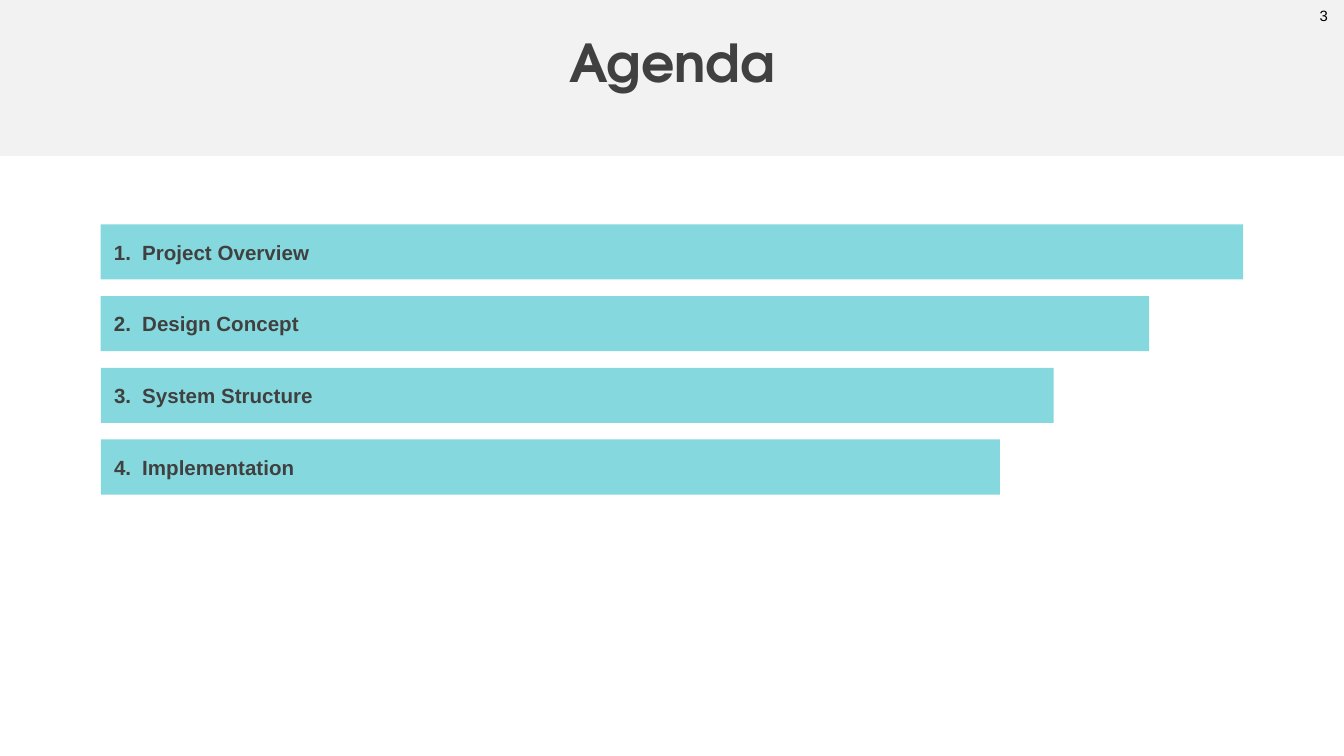
from dataclasses import dataclass

from lxml import etree
from pptx import Presentation
from pptx.dml.color import RGBColor
from pptx.enum.shapes import MSO_SHAPE
from pptx.enum.text import MSO_ANCHOR, MSO_AUTO_SIZE, PP_ALIGN
from pptx.oxml.ns import qn
from pptx.util import Inches, Pt

RECT = MSO_SHAPE.RECTANGLE
MIDDLE = MSO_ANCHOR.MIDDLE
FIXED = MSO_AUTO_SIZE.NONE
LEFT = PP_ALIGN.LEFT
CENTER = PP_ALIGN.CENTER


@dataclass(frozen=True)
class Theme:
    """Colours, fonts and type sizes of the slide."""
    band: str = "F2F2F2"
    bar: str = "85D8DE"
    ink: str = "404040"
    black: str = "000000"
    head: str = "TeX Gyre Adventor"
    body: str = "Arial"
    title: int = 28
    item: int = 11
    page: int = 8


THEME = Theme()
WIDTH = 10
HEIGHT = WIDTH * 9 / 16
AGENDA = [
    ("Project Overview", 8.5),
    ("Design Concept", 7.8),
    ("System Structure", 7.09),
    ("Implementation", 6.69),
]
FIRST, LAST = 1.67, 3.27


def style(para, name, size, color, bold=False):
    """Set the font of a paragraph."""
    font = para.font
    font.name, font.size, font.bold = name, Pt(size), bold
    font.color.rgb = RGBColor.from_string(color)


def add_rect(slide, left, top, width, height, color):
    """Add a flat filled rectangle."""
    rect = slide.shapes.add_shape(
        RECT, Inches(left), Inches(top), Inches(width), Inches(height))
    rect.shadow.inherit = False
    rect.fill.solid()
    rect.fill.fore_color.rgb = RGBColor.from_string(color)
    rect.line.fill.background()
    return rect


def add_tab(para, stop):
    """Give a paragraph one left tab stop."""
    tabs = etree.SubElement(para._p.get_or_add_pPr(), qn("a:tabLst"))
    etree.SubElement(tabs, qn("a:tab"), pos=str(Inches(stop)), algn="l")


def add_title(slide, text):
    """Place the title over its grey band."""
    band = add_rect(slide, 0, 0, WIDTH, 1.16, THEME.band)
    title = slide.shapes.title
    title._element.addprevious(band._element)
    title.left, title.top = Inches(0), Inches(0.14)
    title.width, title.height = Inches(WIDTH), Inches(0.63)
    frame = title.text_frame
    frame.text = text
    frame.auto_size, frame.vertical_anchor = FIXED, MIDDLE
    para = frame.paragraphs[0]
    para.alignment = CENTER
    style(para, THEME.head, THEME.title, THEME.ink, True)


def add_bar(slide, num, text, top, width):
    """Add one numbered agenda bar."""
    bar = add_rect(slide, 0.75, top, width, 0.41, THEME.bar)
    frame = bar.text_frame
    frame.text = f"{num}.\t{text}"
    frame.vertical_anchor = MIDDLE
    para = frame.paragraphs[0]
    para.alignment = LEFT
    add_tab(para, 0.21)
    style(para, THEME.body, THEME.item, THEME.ink, True)


def add_page(slide, num):
    """Add the page number in the top right corner."""
    box = slide.shapes.add_textbox(
        Inches(9.72), Inches(0), Inches(0.19), Inches(0.24))
    frame = box.text_frame
    frame.margin_right = 0
    frame.word_wrap = True
    frame.text = str(num)
    style(frame.paragraphs[0], THEME.body, THEME.page, THEME.black)


def main():
    """Build and save the agenda slide."""
    deck = Presentation()
    deck.slide_width, deck.slide_height = Inches(WIDTH), Inches(HEIGHT)
    slide = deck.slides.add_slide(deck.slide_layouts[5])
    add_title(slide, "Agenda")
    step = (LAST - FIRST) / (len(AGENDA) - 1)
    for row, (text, width) in enumerate(AGENDA):
        add_bar(slide, row + 1, text, FIRST + row * step, width)
    add_page(slide, 3)
    deck.save("out.pptx")


if __name__ == "__main__":
    main()
